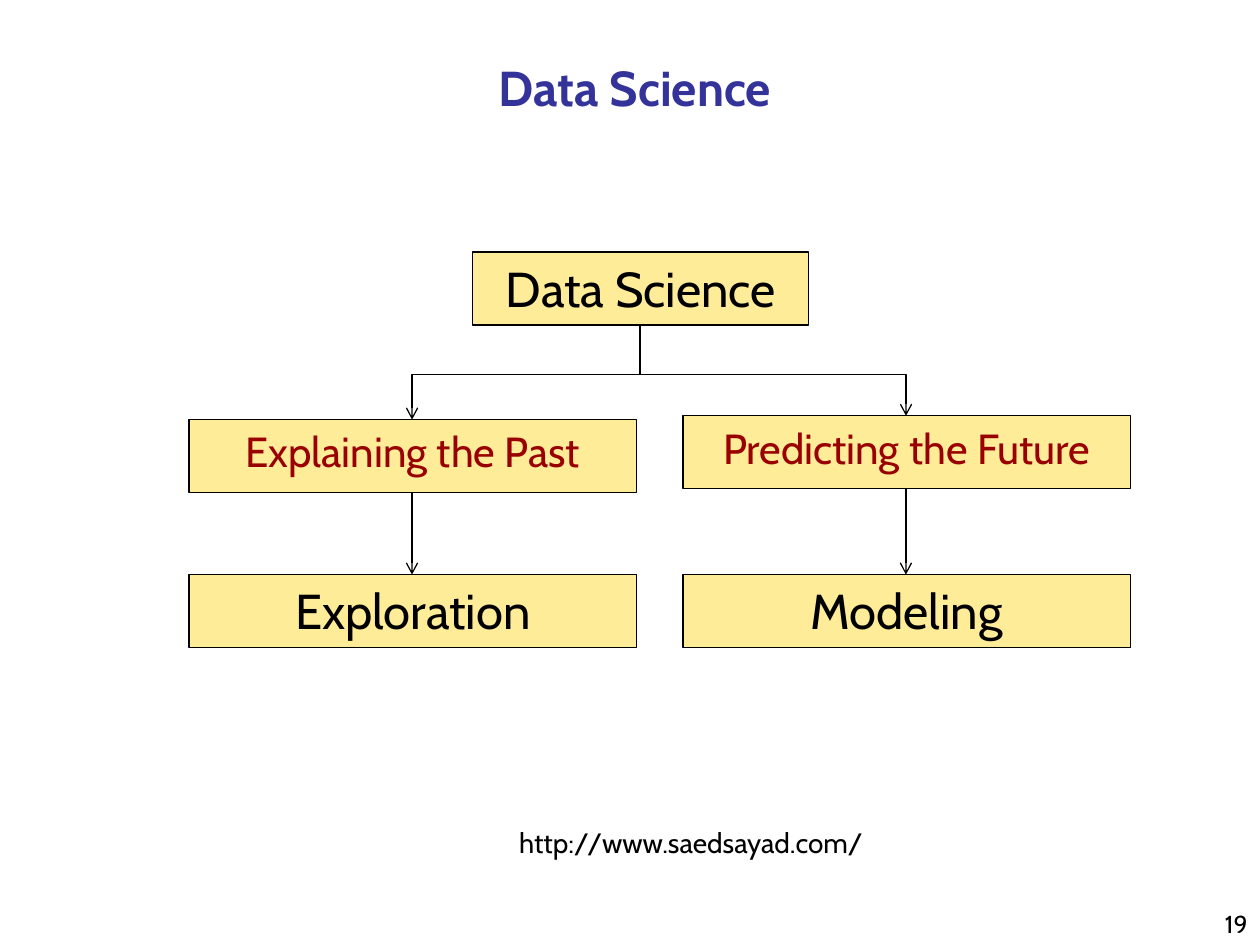
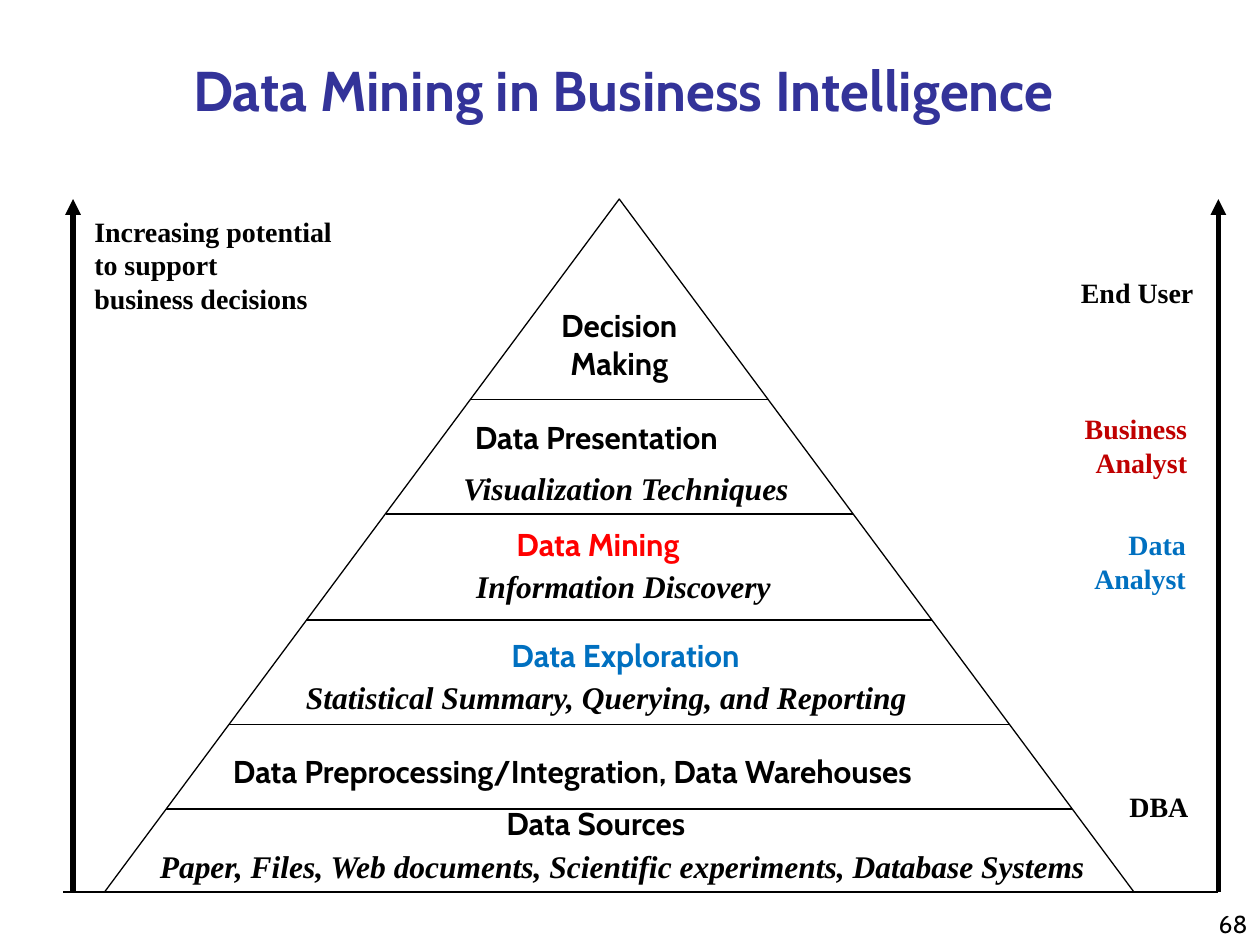
"""Build two slides: a data science tree and a business intelligence pyramid."""
from dataclasses import dataclass

from lxml import etree
from pptx import Presentation
from pptx.dml.color import RGBColor
from pptx.enum.shapes import MSO_CONNECTOR, MSO_SHAPE
from pptx.enum.text import MSO_ANCHOR, PP_ALIGN
from pptx.oxml.ns import qn
from pptx.util import Pt

PX = 9144
LEFT, MID, RIGHT = PP_ALIGN.LEFT, PP_ALIGN.CENTER, PP_ALIGN.RIGHT
TOP, CENTER, BOTTOM = MSO_ANCHOR.TOP, MSO_ANCHOR.MIDDLE, MSO_ANCHOR.BOTTOM
LINE, ELBOW = MSO_CONNECTOR.STRAIGHT, MSO_CONNECTOR.ELBOW
RECT, PEAK = MSO_SHAPE.RECTANGLE, MSO_SHAPE.FLOWCHART_EXTRACT
SANS, SERIF = "Cabin", "Times New Roman"
COLORS = {
    "black": "000000", "title": "333399", "box": "FFEC99", "maroon": "990000",
    "crimson": "C00000", "red": "FF0000", "blue": "0070C0",
}


@dataclass
class Style:
    size: int
    color: str = "black"
    face: str = SANS
    bold: bool = False
    slant: bool = False
    align: PP_ALIGN = MID


@dataclass
class Label:
    x: int
    y: int
    w: int
    h: int
    text: str
    style: Style


def shade(name: str) -> RGBColor:
    return RGBColor.from_string(COLORS[name])


def write(frame, text: str, style: Style, anchor=TOP) -> None:
    frame.word_wrap = True
    frame.vertical_anchor = anchor
    frame.text = text
    for para in frame.paragraphs:
        para.alignment = style.align
        font = para.font
        font.name, font.size = style.face, Pt(style.size)
        font.bold, font.italic = style.bold, style.slant
        font.color.rgb = shade(style.color)


def place(shape, x: int, y: int, w: int, h: int) -> None:
    shape.left, shape.top, shape.width, shape.height = (v * PX for v in (x, y, w, h))


def add_label(slide, item: Label, anchor=TOP) -> None:
    box = slide.shapes.add_textbox(0, 0, 0, 0)
    place(box, item.x, item.y, item.w, item.h)
    write(box.text_frame, item.text, item.style, anchor)


def add_page(deck, title: Label, number: int):
    slide = deck.slides.add_slide(deck.slide_layouts[5])
    head = slide.shapes.title
    place(head, title.x, title.y, title.w, title.h)
    write(head.text_frame, title.text, title.style, CENTER)
    add_label(slide, Label(792, 700, 208, 50, str(number), Style(14, align=RIGHT)), BOTTOM)
    return slide


def add_shape(slide, kind, x: int, y: int, w: int, h: int):
    shape = slide.shapes.add_shape(kind, 0, 0, 0, 0)
    place(shape, x, y, w, h)
    shape.shadow.inherit = False
    shape.line.color.rgb = shade("black")
    shape.line.width = Pt(0.75)
    return shape


def add_box(slide, item: Label) -> None:
    box = add_shape(slide, RECT, item.x, item.y, item.w, item.h)
    box.fill.solid()
    box.fill.fore_color.rgb = shade("box")
    write(box.text_frame, item.text, item.style)


def add_line(slide, x1: int, y1: int, x2: int, y2: int,
             tip: str = "", width: float = 0.75, kind=LINE):
    line = slide.shapes.add_connector(kind, *(round(v * PX) for v in (x1, y1, x2, y2)))
    line.line.color.rgb = shade("black")
    line.line.width = Pt(width)
    if tip:
        etree.SubElement(line.line._get_or_add_ln(), qn("a:tailEnd"), type=tip)
    etree.SubElement(line._element.spPr, qn("a:effectLst"))
    return line


def add_elbow(slide, x1: int, y1: int, x2: int, y2: int, bend: int) -> None:
    """Draw a down-across-down arrow as a turned elbow connector."""
    mid_x, mid_y = (x1 + x2) / 2, (y1 + y2) / 2
    half_w, half_h = (y2 - y1) / 2, abs(x2 - x1) / 2
    side = 1 if x2 < x1 else -1
    line = add_line(slide, mid_x - side * half_w, mid_y - half_h,
                    mid_x + side * half_w, mid_y + half_h, "arrow", kind=ELBOW)
    props = line._element.spPr
    props.find(qn("a:xfrm")).set("rot", str((180 - 90 * side) * 60000))
    geom = props.find(qn("a:prstGeom"))
    guides = geom.find(qn("a:avLst"))
    if guides is None:
        guides = etree.SubElement(geom, qn("a:avLst"))
    ratio = round((bend - y1) / (y2 - y1) * 100000)
    etree.SubElement(guides, qn("a:gd"), name="adj1", fmla=f"val {ratio}")


def draw_tree(deck) -> None:
    title = Label(108, 38, 792, 62, "Data Science", Style(28, "title", bold=True))
    slide = add_page(deck, title, 19)
    big, aim = Style(28), Style(24, "maroon")
    high, wide, low = 58, 355, 456
    root = Label(375, 200, 267, high, "Data Science", big)
    add_box(slide, root)
    stem, base = root.x + root.w // 2, root.y + high
    for x, y, goal, task in (
        (150, 333, "Explaining the Past", "Exploration"),
        (542, 330, "Predicting the Future", "Modeling"),
    ):
        add_box(slide, Label(x, y, wide, high, goal, aim))
        add_box(slide, Label(x, low, wide, high, task, big))
        mid = x + wide // 2
        add_elbow(slide, stem, base, mid, y, 297)
        add_line(slide, mid, y + high, mid, low, "arrow")
    add_label(slide, Label(261, 650, 575, 37, "http://www.saedsayad.com/", Style(16)))


def draw_pyramid(deck) -> None:
    title = Label(20, 42, 950, 58, "Data Mining in Business Intelligence",
                  Style(32, "title", bold=True))
    slide = add_page(deck, title, 68)
    left, top, wide, high = 83, 158, 817, 550
    base = top + high
    add_shape(slide, PEAK, left, top, wide, high).fill.background()
    for y in (642, 575, 492, 408, 317):
        inset = round(wide / 2 * (base - y) / high)
        add_line(slide, left + inset, y, left + wide - inset, y)
    for x in (58, 967):
        add_line(slide, x, base, x, top, "triangle", 3)
    add_line(slide, 50, base, 967, base)

    def role(color: str = "black", align=RIGHT) -> Style:
        return Style(16, color, SERIF, True, align=align)

    def step(color: str = "black", align=LEFT) -> Style:
        return Style(18, color, bold=True, align=align)

    note = Style(18, face=SERIF, bold=True, slant=True, align=LEFT)
    for item in (
        Label(65, 165, 220, 90, "Increasing potential\nto support\nbusiness decisions",
              role(align=LEFT)),
        Label(837, 214, 120, 37, "End User", role()),
        Label(832, 322, 120, 64, "Business\nAnalyst", role("crimson")),
        Label(831, 414, 120, 64, "Data\nAnalyst", role("blue")),
        Label(833, 622, 120, 37, "DBA", role()),
        Label(425, 238, 133, 70, "Decision Making", step(align=MID)),
        Label(367, 327, 247, 40, "Data Presentation", step()),
        Label(358, 367, 290, 40, "Visualization Techniques", note),
        Label(400, 412, 195, 40, "Data Mining", step("red")),
        Label(368, 445, 277, 40, "Information Discovery", note),
        Label(368, 500, 257, 40, "Data Exploration", step("blue", MID)),
        Label(233, 533, 500, 40, "Statistical Summary, Querying, and Reporting", note),
        Label(175, 592, 659, 40, "Data Preprocessing/Integration, Data Warehouses", step()),
        Label(392, 633, 186, 40, "Data Sources", step()),
        Label(117, 667, 778, 40,
              "Paper, Files, Web documents, Scientific experiments, Database Systems", note),
    ):
        add_label(slide, item)


def main() -> None:
    deck = Presentation()
    deck.slide_width, deck.slide_height = 1000 * PX, 750 * PX
    draw_tree(deck)
    draw_pyramid(deck)
    deck.save("out.pptx")


if __name__ == "__main__":
    main()
